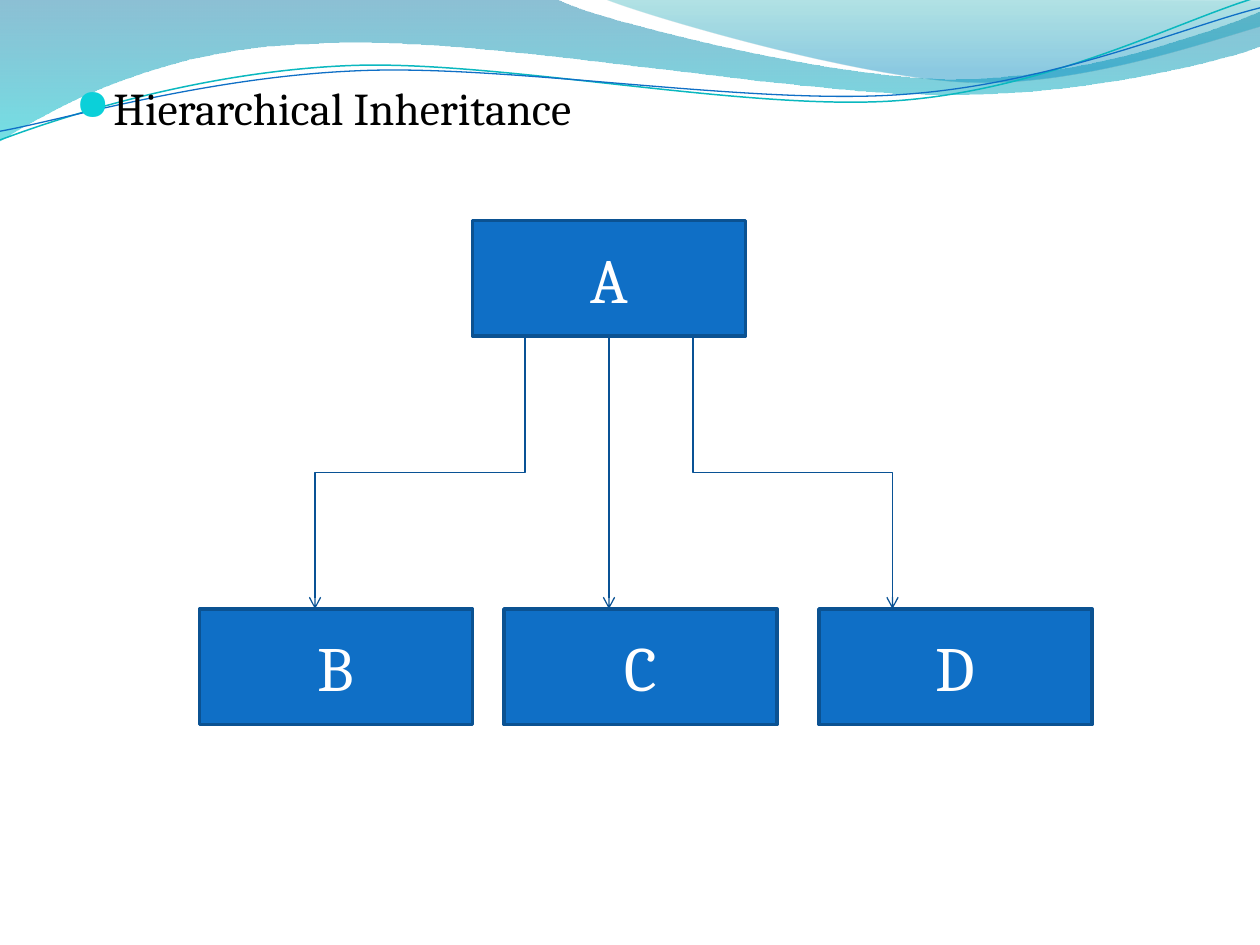
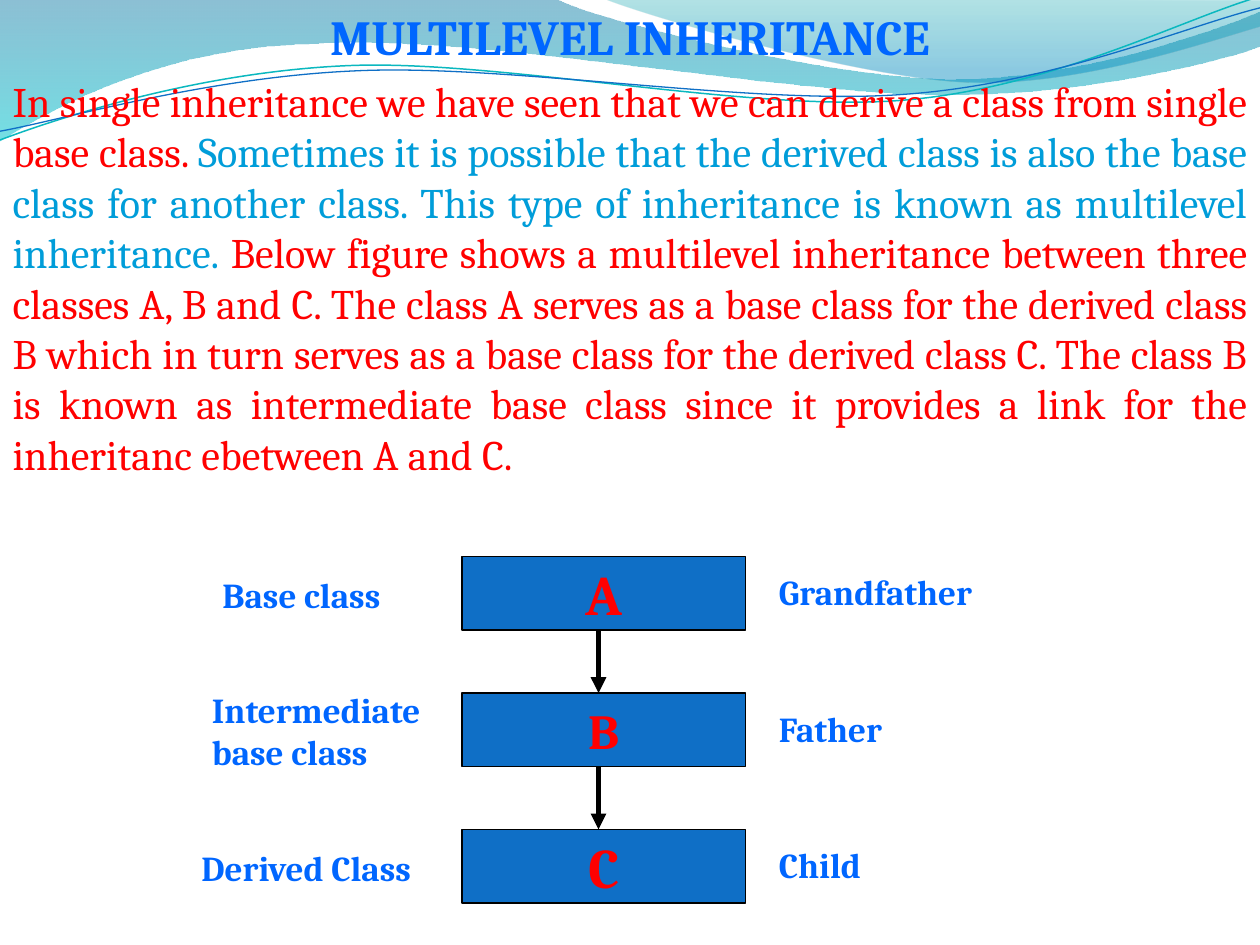
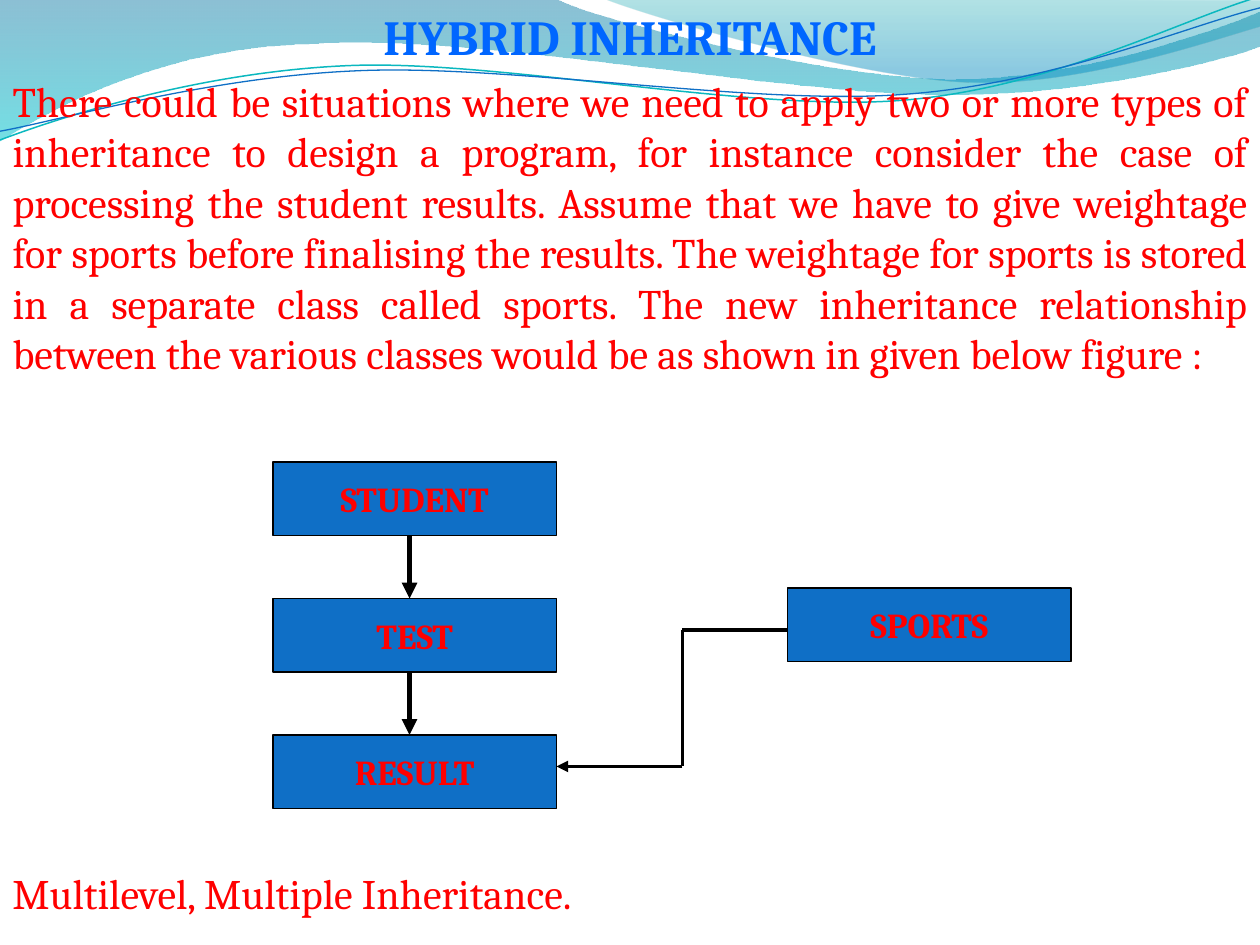
from math import cos, radians, sin

from lxml import etree
from pptx import Presentation
from pptx.dml.color import RGBColor
from pptx.enum.shapes import MSO_CONNECTOR, MSO_SHAPE
from pptx.enum.text import MSO_ANCHOR, MSO_AUTO_SIZE, PP_ALIGN
from pptx.oxml.ns import qn
from pptx.util import Pt

STRAIGHT, ELBOW = MSO_CONNECTOR.STRAIGHT, MSO_CONNECTOR.ELBOW
RECTANGLE = MSO_SHAPE.RECTANGLE
TOP, MIDDLE = MSO_ANCHOR.TOP, MSO_ANCHOR.MIDDLE
NO_AUTOFIT = MSO_AUTO_SIZE.NONE
LEFT, CENTER, JUSTIFY = PP_ALIGN.LEFT, PP_ALIGN.CENTER, PP_ALIGN.JUSTIFY

FONT, BULLET_FONT = "Cambria", "OpenSymbol"
BLUE, DARK_BLUE, ARROW_BLUE = "0F6FC6", "0B5292", "095295"
HEADING, RED, SKY = "0066FF", "FF0000", "009DD9"
BLACK, WHITE, BULLET = "000000", "FFFFFF", "0BD0D9"

# Each wave: start point, then steps of one point (line) or three (curve)
UPPER_BAND = [[(0, 0)], [(317, -1)],
              [(343, 12), (478, 45), (546, 45)], [(614, 45), (690, 19), (720, 6.5)],
              [(721, 26)],
              [(708, 31.5), (626, 55), (537, 54)], [(448, 54), (275, 20), (185, 24.5)],
              [(93, 26), (33, 60), (-1, 81)], [(0, 0)]]
RIGHT_BAND = [[(345, -1)], [(366, 8), (491, 45), (554, 47)],
              [(616, 49.5), (692, 23), (720, 15)], [(720, 0)], [(345, -1)]]
TEAL_LINE = [[(0, 80)], [(34.5, 67), (114, 41), (199.5, 37.5)],
             [(284.5, 34), (427, 64), (513.5, 57.5)],
             [(600, 51), (675.5, 11), (718.5, -1.5)]]
BLUE_LINE = [[(0, 75)], [(34, 69), (118, 44), (204, 40.5)],
             [(290, 36.5), (430, 60.5), (516, 54)],
             [(602, 48), (677.5, 15), (720, 4.5)]]
# Gradient stops: position, colour, opacity in percent
BANDS = [(UPPER_BAND, [(0, "0074A1", 45), (1, "00C6CF", 55)]),
         (RIGHT_BAND, [(0, "00A1A9", 30), (0.8, "008BBF", 45)])]
# Wave, centre of its tilt, colour, width
WAVE_LINES = [(TEAL_LINE, (359.3, 41.4), "0AB8BF", 0.85),
              (BLUE_LINE, (359.6, 42.5), BLUE, 0.75)]
TILT = 2.7

BOX_WIDTH, BOX_HEIGHT, BOX_STEP = 162, 42, 78


def color(hex_string):
    return RGBColor.from_string(hex_string)


def apply_format(target, formats):
    for name, value in formats.items():
        setattr(target, name, value)


def add_child(parent, tag, **attributes):
    return etree.SubElement(parent, qn(tag), attributes)


def place(shape, left, top, width, height):
    apply_format(shape, {"left": Pt(left), "top": Pt(top),
                         "width": Pt(width), "height": Pt(height)})


def set_line(shape, line_color, width):
    shape.line.color.rgb = color(line_color)
    shape.line.width = Pt(width)


# Text
def write(shape, runs, size, bold=False, align=LEFT, anchor=TOP, wrap=True):
    """Fill a shape with one paragraph made of (text, colour) runs."""
    frame = shape.text_frame
    apply_format(frame, {"word_wrap": wrap, "auto_size": NO_AUTOFIT,
                         "vertical_anchor": anchor})
    paragraph = frame.paragraphs[0]
    apply_format(paragraph, {"alignment": align, "space_before": Pt(0)})
    for text, text_color in runs:
        run = paragraph.add_run()
        run.text = text
        apply_format(run.font, {"name": FONT, "size": Pt(size), "bold": bold})
        run.font.color.rgb = color(text_color)
    return paragraph


def set_bullet(paragraph, indent=0, character=None):
    properties = paragraph._p.get_or_add_pPr()
    properties.set("marL", str(Pt(indent)))
    properties.set("indent", str(-Pt(indent)))
    if character is None:
        add_child(properties, "a:buNone")
        return
    add_child(add_child(properties, "a:buClr"), "a:srgbClr", val=BULLET)
    add_child(properties, "a:buSzPct", val="95000")
    add_child(properties, "a:buFont", typeface=BULLET_FONT)
    add_child(properties, "a:buChar", char=character)


def add_label(slide, text, left, top, width, height, size=20, text_color=HEADING, bold=True):
    label = slide.shapes.add_textbox(Pt(left), Pt(top), Pt(width), Pt(height))
    write(label, [(text, text_color)], size, bold)


def add_title_and_body(slide, title, runs, body_height):
    place(slide.shapes.title, 0, 0, 720, 42)
    write(slide.shapes.title, [(title, HEADING)], 28, bold=True, align=CENTER)
    body = slide.placeholders[1]
    place(body, 0, 39.5, 720, body_height)
    set_bullet(write(body, runs, 24, align=JUSTIFY))


# Diagram parts
def add_box(slide, text, left, top, width=BOX_WIDTH, height=BOX_HEIGHT, size=20,
            text_color=RED, bold=True, outline=(BLACK, 0.75), wrap=False):
    box = slide.shapes.add_shape(RECTANGLE, Pt(left), Pt(top), Pt(width), Pt(height))
    box.shadow.inherit = False
    box.fill.solid()
    box.fill.fore_color.rgb = color(BLUE)
    set_line(box, *outline)
    write(box, [(text, text_color)], size, bold, CENTER, MIDDLE, wrap)


def add_line(slide, start, end, line_color=BLACK, width=2.25, head=None, kind=STRAIGHT):
    line = slide.shapes.add_connector(kind, *(Pt(value) for value in (*start, *end)))
    set_line(line, line_color, width)
    properties = line._element.spPr
    if head:
        add_child(properties.find(qn("a:ln")), "a:tailEnd", type=head)
    add_child(properties, "a:effectLst")
    return line


def add_vertical_elbow(slide, start, end, **formats):
    """Go down, across and down again: a sideways elbow, turned."""
    middle_x, middle_y = (start[0] + end[0]) / 2, (start[1] + end[1]) / 2
    half_run, half_rise = (end[1] - start[1]) / 2, abs(end[0] - start[0]) / 2
    turn = 90
    if end[0] > start[0]:
        half_run, turn = -half_run, 270
    line = add_line(slide, (middle_x - half_run, middle_y - half_rise),
                    (middle_x + half_run, middle_y + half_rise), kind=ELBOW, **formats)
    line._element.spPr.find(qn("a:xfrm")).set("rot", str(turn * 60000))


def add_chain(slide, left, top, names, sizes):
    for index, (name, size) in enumerate(zip(names, sizes)):
        add_box(slide, name, left, top + index * BOX_STEP, size=size)
    for index in range(len(names) - 1):
        bottom = top + index * BOX_STEP + BOX_HEIGHT
        add_line(slide, (left + 78, bottom), (left + 78, bottom + BOX_STEP - BOX_HEIGHT),
                 width=3, head="triangle")


# Shared wave background
def level(point, center):
    """Turn a point back by the tilt, which the shape's rotation then restores."""
    x, y = point[0] - center[0], point[1] - center[1]
    angle = radians(TILT)
    return (center[0] + x * cos(angle) - y * sin(angle),
            center[1] + x * sin(angle) + y * cos(angle))


def add_wave(slide, wave, close):
    """Build an outline through all points, then bend its three-point steps."""
    start, *others = [(Pt(x), Pt(y)) for step in wave for x, y in step]
    builder = slide.shapes.build_freeform(*start)
    builder.add_line_segments(others, close=close)
    shape = builder.convert_to_shape()
    shape.shadow.inherit = False
    segments = iter(list(shape._element.iter(qn("a:lnTo"))))
    for step in wave[1:]:
        parts = [next(segments) for _ in step]
        if len(parts) == 3:
            curve = etree.Element(qn("a:cubicBezTo"))
            parts[0].addprevious(curve)
            for part in parts:
                curve.append(part[0])
                part.getparent().remove(part)
    return shape


def add_waves_to_master(presentation, slide):
    """Draw the waves on a slide, then move them behind everything on the master."""
    waves = []
    for wave, stops in BANDS:
        band = add_wave(slide, wave, close=True)
        band.line.fill.background()
        band.fill.gradient()
        band.fill.gradient_angle = 270
        for stop, (position, stop_color, opacity) in zip(band.fill.gradient_stops, stops):
            stop.position = position
            stop.color.rgb = color(stop_color)
            add_child(stop._gs.find(qn("a:srgbClr")), "a:alpha", val=str(opacity * 1000))
        waves.append(band)
    for wave, center, line_color, width in WAVE_LINES:
        leveled = [[level(point, center) for point in step] for step in wave]
        line = add_wave(slide, leveled, close=False)
        line.rotation = 360 - TILT
        line.fill.background()
        set_line(line, line_color, width)
        waves.append(line)
    tree = presentation.slide_master.shapes._spTree
    for index, shape in enumerate(waves):
        shape._element.nvSpPr.cNvPr.set("id", str(100 + index))
        tree.insert(2 + index, shape._element)


# Slides
def build_hierarchical(slide):
    title = slide.shapes.title._element
    title.getparent().remove(title)
    body = slide.placeholders[1]
    place(body, 36, 42, 648, 456)
    set_bullet(write(body, [("Hierarchical Inheritance", BLACK)], 26), 21.6, "●")
    for name, left, top in [("A", 270, 126), ("B", 114, 348), ("C", 288, 348), ("D", 468, 348)]:
        add_box(slide, name, left, top, 156, 66, 36, WHITE, False, (DARK_BLUE, 2), True)
    arrow = {"line_color": ARROW_BLUE, "width": 0.75, "head": "arrow"}
    add_line(slide, (348, 192), (348, 348), **arrow)
    for start_x, end_x in [(396, 510), (300, 180)]:
        add_vertical_elbow(slide, (start_x, 192), (end_x, 348), **arrow)


def build_multilevel(slide):
    add_title_and_body(slide, "MULTILEVEL INHERITANCE", [
        ("In single inheritance we have seen that we can derive a class from single "
         "base class. ", RED),
        ("Sometimes it is possible that the derived class is also the base class for "
         "another class. This type of inheritance is known as multilevel inheritance.", SKY),
        (" Below figure shows a multilevel inheritance between three classes A, B and C. "
         "The class A serves as a base class for the derived class B which in turn serves "
         "as a base class for the derived class C. The class B is known as intermediate "
         "base class since it provides a link for the inheritanc ebetween A and C.", RED),
    ], 267)
    add_chain(slide, 264, 318, "ABC", (32, 28, 32))
    add_label(slide, "Base class", 120, 324, 132, 31)
    add_label(slide, "Intermediate base class", 114, 390, 144, 55)
    add_label(slide, "Derived Class", 108, 480, 156, 31)
    for index, relative in enumerate(["Grandfather", "Father", "Child"]):
        add_label(slide, relative, 438, 322.75 + index * BOX_STEP, 132 + 12 * index, 31)


def build_hybrid(slide):
    add_title_and_body(slide, "HYBRID INHERITANCE", [
        ("There could be situations where we need to apply two or more types of inheritance "
         "to design a program, for instance consider the case of processing the student "
         "results. Assume that we have to give weightage for sports before finalising the "
         "results. The weightage for sports is stored in a separate class called sports. "
         "The new inheritance relationship between the various classes would be as shown "
         "in given below figure :", RED),
    ], 209.5)
    add_chain(slide, 156, 264, ["STUDENT", "TEST", "RESULT"], (20, 20, 20))
    add_box(slide, "SPORTS", 450, 336)
    add_line(slide, (390, 360), (450, 360))
    add_line(slide, (390, 360), (390, 438))
    add_line(slide, (390, 438), (318, 438), head="triangle")
    add_label(slide, "Multilevel, Multiple Inheritance.", 0, 492, 720, 36, 24, RED, False)


def main():
    presentation = Presentation()
    apply_format(presentation, {"slide_width": Pt(720), "slide_height": Pt(540)})
    layout = presentation.slide_layouts[1]
    builders = [build_hierarchical, build_multilevel, build_hybrid]
    slides = [presentation.slides.add_slide(layout) for _ in builders]
    add_waves_to_master(presentation, slides[0])
    for build, slide in zip(builders, slides):
        build(slide)
    presentation.save("out.pptx")


if __name__ == "__main__":
    main()
